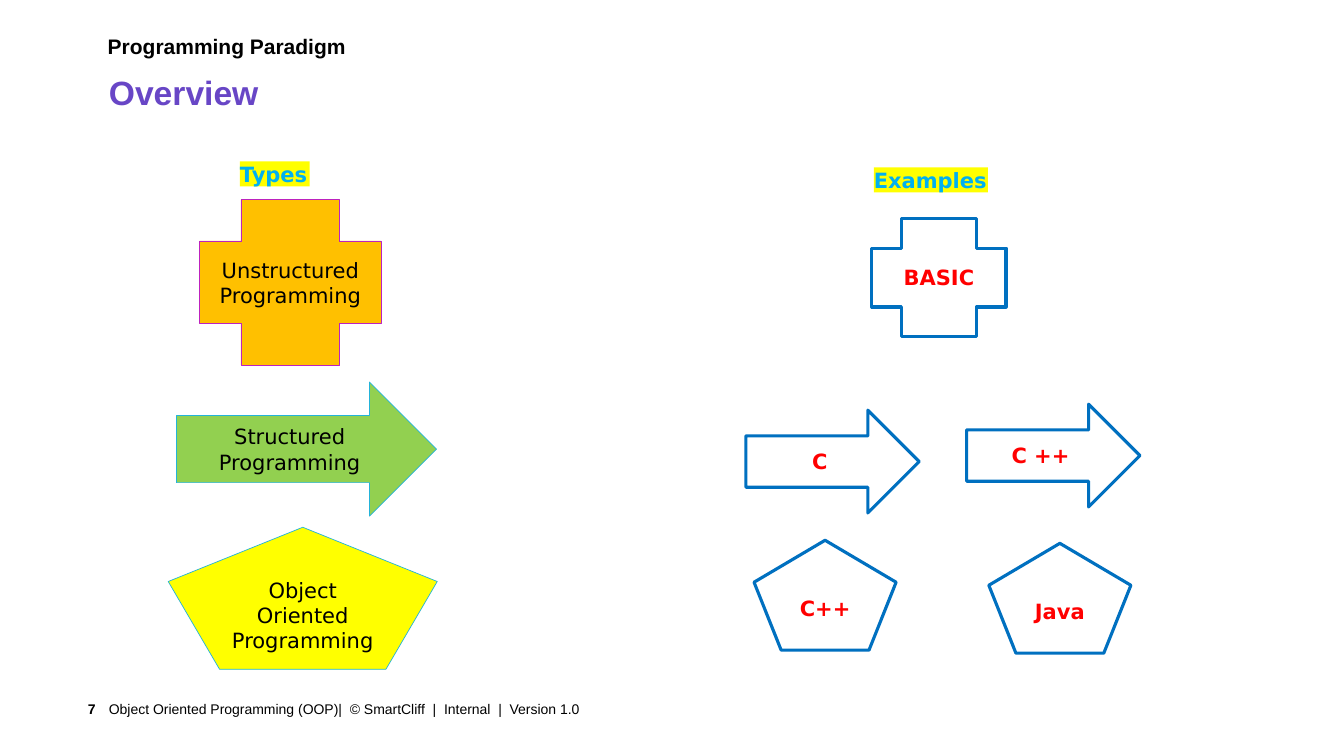
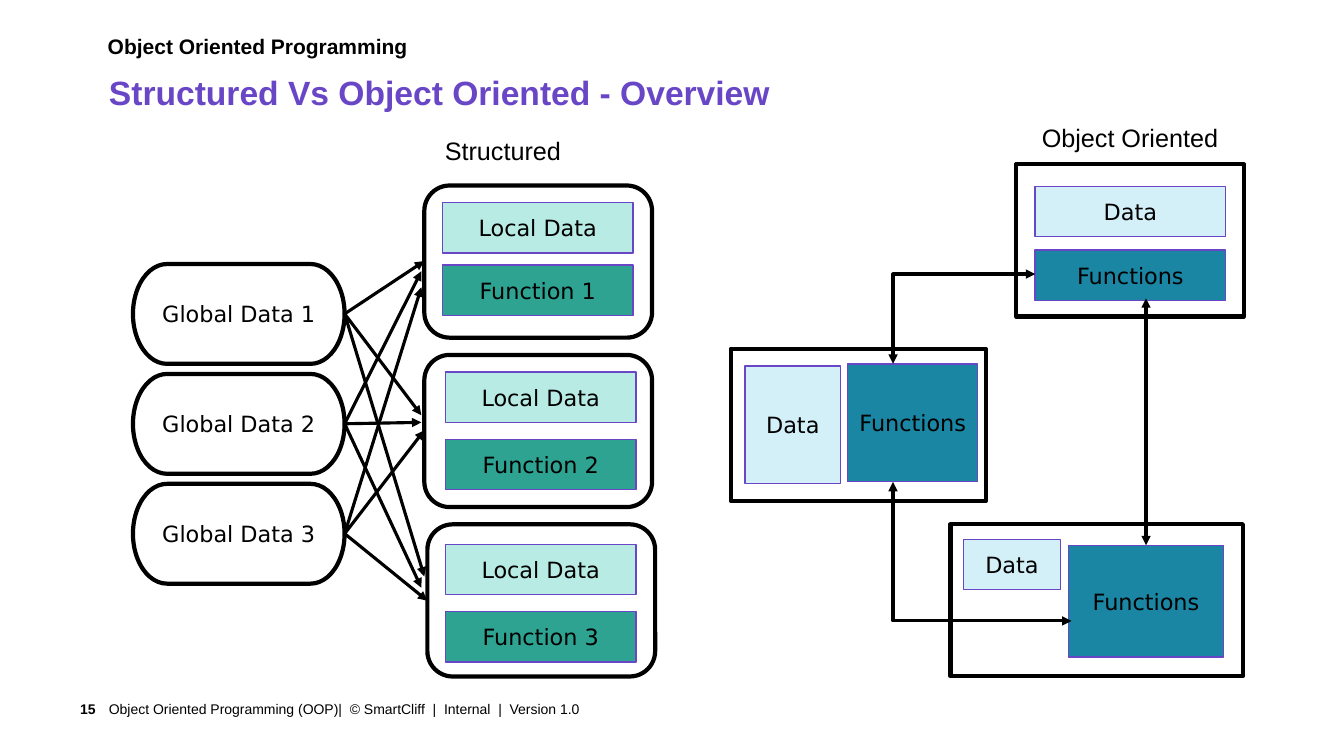
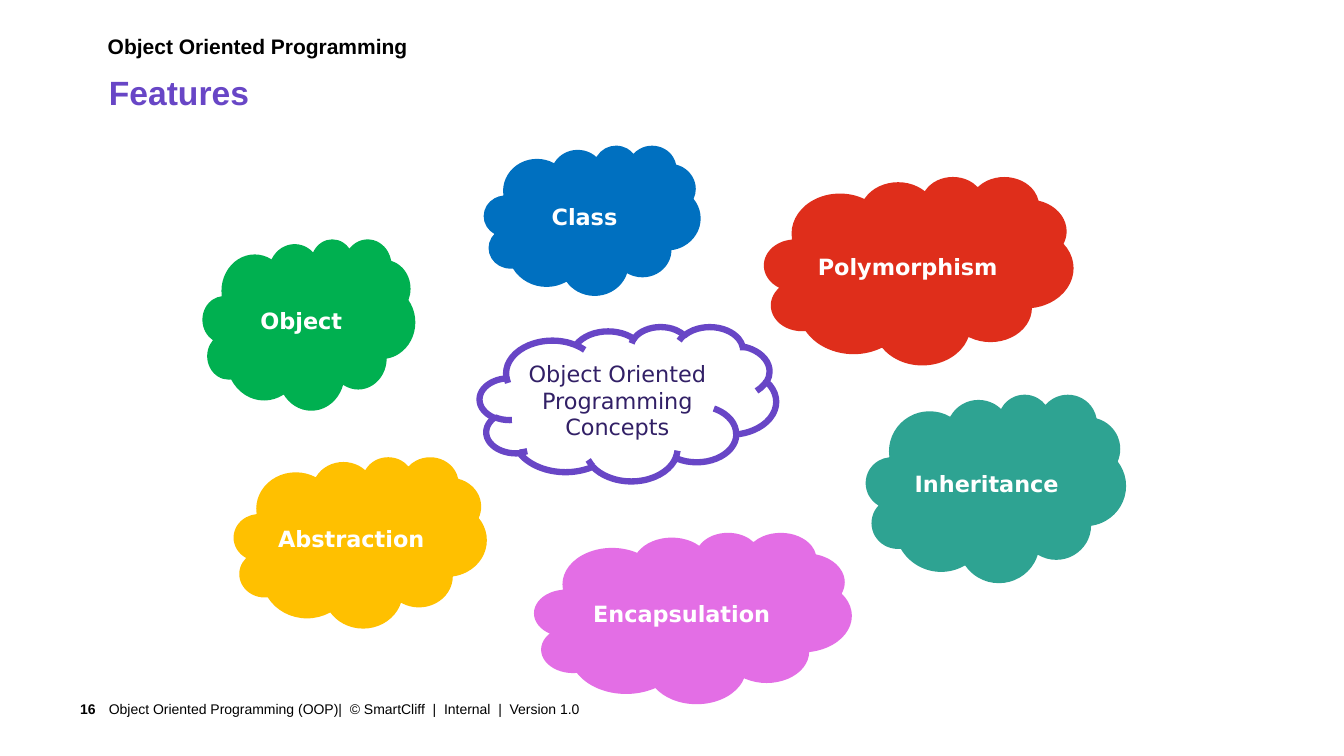
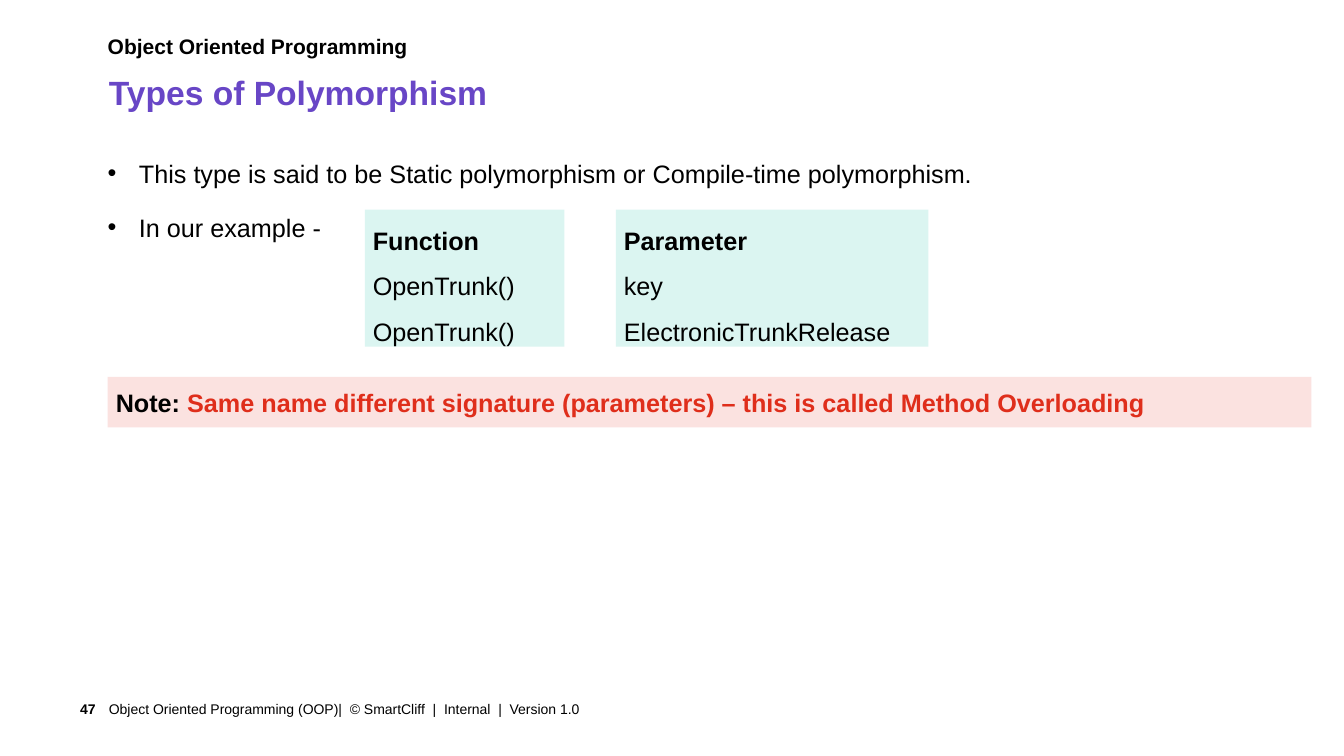
from pptx import Presentation
from pptx.dml.color import RGBColor
from pptx.enum.shapes import MSO_CONNECTOR as MC, MSO_SHAPE as MS
from pptx.enum.text import MSO_ANCHOR as MA, MSO_AUTO_SIZE as AUTO, PP_ALIGN as PA
from pptx.oxml.ns import qn
from pptx.util import Pt
from lxml import etree

# Shared style
rgb = RGBColor.from_string
SANS, BODY = "DejaVu Sans", "Arial"
BLACK, WHITE, RED = "000000", "FFFFFF", "DF2E1B"
PURPLE, BLUE, TEAL, OCEAN = "6846C6", "0070C0", "2EA392", "1A86A3"
MINT, ICE, TILE, AMBER = "B7EBE3", "D3F0F8", "DBF5F1", "FFC000"
FOOTER = "Object Oriented Programming (OOP)|  © SmartCliff  |  Internal  |  Version 1.0"


def put(sl, kind, box, text="", fill=None, line=None, weight=1, size=16, color=BLACK,
        bold=False, font=SANS, align=PA.CENTER, anchor=MA.MIDDLE, pad=(5.76, 5.76),
        wrap=True, spacing=None):
    """Place the title, a text box or a preset shape, and format its text."""
    x, y, w, h = [Pt(v) for v in box]
    if kind == "title":
        sp = sl.shapes.title
        sp.left, sp.top, sp.width, sp.height = x, y, w, h
    elif kind == "text":
        sp = sl.shapes.add_textbox(x, y, w, h)
    else:
        sp = sl.shapes.add_shape(kind, x, y, w, h)
        sp.shadow.inherit = False
    if fill:
        sp.fill.solid()
        sp.fill.fore_color.rgb = rgb(fill)
    if line:
        sp.line.color.rgb = rgb(line)
        sp.line.width = Pt(weight)
    else:
        sp.line.fill.background()
    tf = sp.text_frame
    tf.auto_size = AUTO.NONE
    tf.word_wrap = wrap
    tf.vertical_anchor = anchor
    tf.margin_left = tf.margin_right = Pt(pad[0])
    tf.margin_top = tf.margin_bottom = Pt(pad[1])
    if text:
        tf.text = text
        for p in tf.paragraphs:
            p.alignment = align
            if spacing:
                p.line_spacing = spacing
            for r in p.runs:
                r.font.name, r.font.size, r.font.bold = font, Pt(size), bold
                r.font.color.rgb = rgb(color)
    return sp


def connect(sl, kind, x1, y1, x2, y2, ends=("tailEnd",)):
    """Draw a black arrow; an elbow leaves its start vertically."""
    c = sl.shapes.add_connector(kind, Pt(x1), Pt(y1), Pt(x2), Pt(y2))
    c.line.color.rgb = rgb(BLACK)
    c.line.width = Pt(2.25)
    for end in ends:
        etree.SubElement(c.line._ln, qn("a:" + end), type="triangle")
    pr = c._element.spPr
    etree.SubElement(pr, qn("a:effectLst"))
    if kind == MC.ELBOW:
        av = pr.find(qn("a:prstGeom")).find(qn("a:avLst"))
        etree.SubElement(av, qn("a:gd"), name="adj1", fmla="val 0")


prs = Presentation()
prs.slide_width, prs.slide_height = Pt(960), Pt(540)

# Slides with title, topic line and footer
slides = []
for number, topic, title in [
    ("7", "Programming Paradigm", "Overview"),
    ("15", "Object Oriented Programming", "Structured Vs Object Oriented - Overview"),
    ("16", "Object Oriented Programming", "Features"),
    ("47", "Object Oriented Programming", "Types of Polymorphism"),
]:
    sl = prs.slides.add_slide(prs.slide_layouts[5])
    put(sl, "title", (77.8, 51.1, 859.7, 30.2), title, size=24, color=PURPLE, bold=True,
        font=BODY, align=PA.LEFT, anchor=MA.TOP, pad=(0, 0))
    put(sl, "text", (77, 23.8, 859.7, 29.5), topic, size=15, bold=True, font=BODY,
        align=PA.LEFT, anchor=MA.TOP, pad=(0, 0))
    put(sl, "text", (30.2, 495.4, 46.8, 22.3), number, size=10, bold=True, font=BODY,
        align=PA.RIGHT, pad=(8.64, 3.6))
    put(sl, "text", (77.8, 495.4, 673.9, 22.3), FOOTER, size=10, font=BODY,
        align=PA.LEFT, pad=(0, 3.6))
    slides.append(sl)
overview, versus, features, polymorphism = slides

# Overview: column headings
for box, text in [((171.4, 115.2, 49.7, 18), "Types"),
                  ((624.2, 119.5, 81.4, 18), "Examples")]:
    put(overview, MS.RECTANGLE, box, text, "FFFF00", size=15, color="00B0F0", bold=True,
        align=PA.LEFT, anchor=MA.TOP, pad=(0, 0), wrap=False)

# Overview: types
for kind, box, text, fill, line in [
    (MS.CROSS, (142.6, 142.6, 129.6, 118.1), "Unstructured Programming", AMBER, "BC22BF"),
    (MS.RIGHT_ARROW, (126, 272.9, 185.8, 95.8), "Structured Programming", "92D050", "23B3D9"),
    (MS.REGULAR_PENTAGON, (120.2, 376.6, 192.2, 101.5), "Object Oriented\nProgramming",
     "FFFF00", "23B3D9"),
]:
    put(overview, kind, box, text, fill, line, 0.5, size=15, pad=(7.2, 3.6))

# Overview: examples
for kind, x, y, w, h, text in [
    (MS.CROSS, 622.8, 156.2, 95.8, 84.2, "BASIC"),
    (MS.RIGHT_ARROW, 532.8, 293, 123.8, 73.4, "C"),
    (MS.RIGHT_ARROW, 690.5, 288.7, 123.8, 73.4, "C ++"),
    (MS.REGULAR_PENTAGON, 538.6, 385.9, 101.5, 78.5, "C++"),
    (MS.REGULAR_PENTAGON, 706.3, 388.1, 101.5, 78.5, "Java"),
]:
    put(overview, kind, (x, y, w, h), text, WHITE, BLUE, 2.25, size=15, color="FF0000",
        bold=True, pad=(7.2, 3.6))

# Structured: modules with local data and a function
for i, (x, inner_x, data_y, function_y) in enumerate([
    (303.1, 316.1, 144.7, 189.4),
    (303.1, 318.2, 265.7, 313.9),
    (305.3, 318.2, 388.8, 437),
]):
    put(versus, MS.ROUNDED_RECTANGLE, (x, 132.5 + 121 * i, 162.7, 108.7), "", WHITE, BLACK, 3)
    put(versus, MS.RECTANGLE, (inner_x, data_y, 136.1, 36), "Local Data", MINT, PURPLE)
    put(versus, MS.RECTANGLE, (inner_x, function_y, 136.1, 36), f"Function {i + 1}",
        TEAL, PURPLE)

# Structured: global data, each linked to every module
for i, targets in enumerate([
    [(303.1, 186.5), (301, 296.6), (303.1, 411.8)],
    [(301, 193.7), (301, 301.7), (301, 419.8)],
    [(301, 205.2), (303.1, 307.4), (305.3, 429.1)],
]):
    y = 188.6 + 78.5 * i
    put(versus, MS.FLOWCHART_TERMINATOR, (95, y, 151.2, 71.3), f"Global Data {i + 1}",
        WHITE, BLACK, 3)
    for tx, ty in targets:
        connect(versus, MC.STRAIGHT, 246.2, y + 35.6, tx, ty)

# Object oriented: objects with data and functions
for frame, data, functions in [
    ((522, 249.1, 182.2, 108.7), (532.1, 261.4, 68.4, 84.2), (605.5, 259.9, 92.9, 84.2)),
    ((679, 374.4, 208.8, 108.7), (688.3, 385.2, 69.1, 36), (763.2, 389.5, 110.9, 79.9)),
    ((725.8, 117.4, 162.7, 108.7), (739.4, 133.2, 136.1, 36), (739.4, 178.6, 136.1, 36)),
]:
    put(versus, MS.RECTANGLE, frame, "", WHITE, BLACK, 3)
    put(versus, MS.RECTANGLE, data, "Data", ICE, PURPLE)
    put(versus, MS.RECTANGLE, functions, "Functions", OCEAN, PURPLE)
for kind, *points in [
    (MC.ELBOW, 637.9, 344.2, 765.4, 443.5),
    (MC.ELBOW, 637.9, 259.9, 739.4, 195.8),
    (MC.STRAIGHT, 818.6, 213.1, 818.6, 389.5),
]:
    connect(versus, kind, *points, ends=("headEnd", "tailEnd"))

# Headings of the two sides
for x, y, text in [(263.5, 92.9, "Structured"), (711.4, 84.2, "Object Oriented")]:
    put(versus, "text", (x, y, 191.5, 28.8), text, size=18, font=BODY, anchor=MA.TOP,
        pad=(7.2, 3.6))

# Features: clouds around the central concept
for x, y, w, h, text, fill in [
    (144.7, 170.6, 151.9, 122.4, "Object", "00B050"),
    (345.6, 103.7, 154.8, 107.3, "Class", BLUE),
    (545.8, 126, 221, 134.6, "Polymorphism", RED),
    (167, 326.2, 180.7, 122.4, "Abstraction", AMBER),
    (381.6, 380.2, 226.8, 122.4, "Encapsulation", "E36EE5"),
    (618.5, 281.5, 185.8, 134.6, "Inheritance", TEAL),
]:
    put(features, MS.CLOUD, (x, y, w, h), text, fill, color=WHITE, bold=True)
put(features, MS.CLOUD, (342.7, 233.3, 211.7, 110.2), "Object Oriented Programming Concepts",
    WHITE, PURPLE, 4.5, color="322066")

# Polymorphism: bullets
sp = put(polymorphism, "text", (77, 102.2, 859.7, 372.2),
         "This type is said to be Static polymorphism or Compile-time polymorphism.\n"
         "In our example -",
         size=18, font=BODY, align=PA.JUSTIFY, anchor=MA.TOP, pad=(0, 0), spacing=1.5)
for p in sp.text_frame.paragraphs:
    pPr = p._p.get_or_add_pPr()
    pPr.set("marL", str(Pt(22.3)))
    pPr.set("indent", str(Pt(-22.3)))
    etree.SubElement(pPr, qn("a:buFont"), typeface=BODY)
    etree.SubElement(pPr, qn("a:buChar"), char="•")
sp.text_frame.paragraphs[1].space_before = Pt(6)

# Polymorphism: function and parameter tiles
for x, w, text in [
    (260.6, 142.6, "Function\nOpenTrunk()\nOpenTrunk()"),
    (439.9, 223.2, "Parameter\nkey\nElectronicTrunkRelease"),
]:
    sp = put(polymorphism, MS.RECTANGLE, (x, 149.8, w, 97.9), text, TILE, size=18, font=BODY,
             align=PA.JUSTIFY, spacing=1.5)
    sp.text_frame.paragraphs[0].runs[0].font.bold = True

# Polymorphism: note
sp = put(polymorphism, MS.RECTANGLE, (77, 269.3, 859.7, 36), "Note: ", "FBE2E0", size=18,
         bold=True, font=BODY, align=PA.JUSTIFY)
r = sp.text_frame.paragraphs[0].add_run()
r.text = "Same name different signature (parameters) – this is called Method Overloading"
r.font.name, r.font.size, r.font.bold = BODY, Pt(18), True
r.font.color.rgb = rgb(RED)

prs.save("out.pptx")
